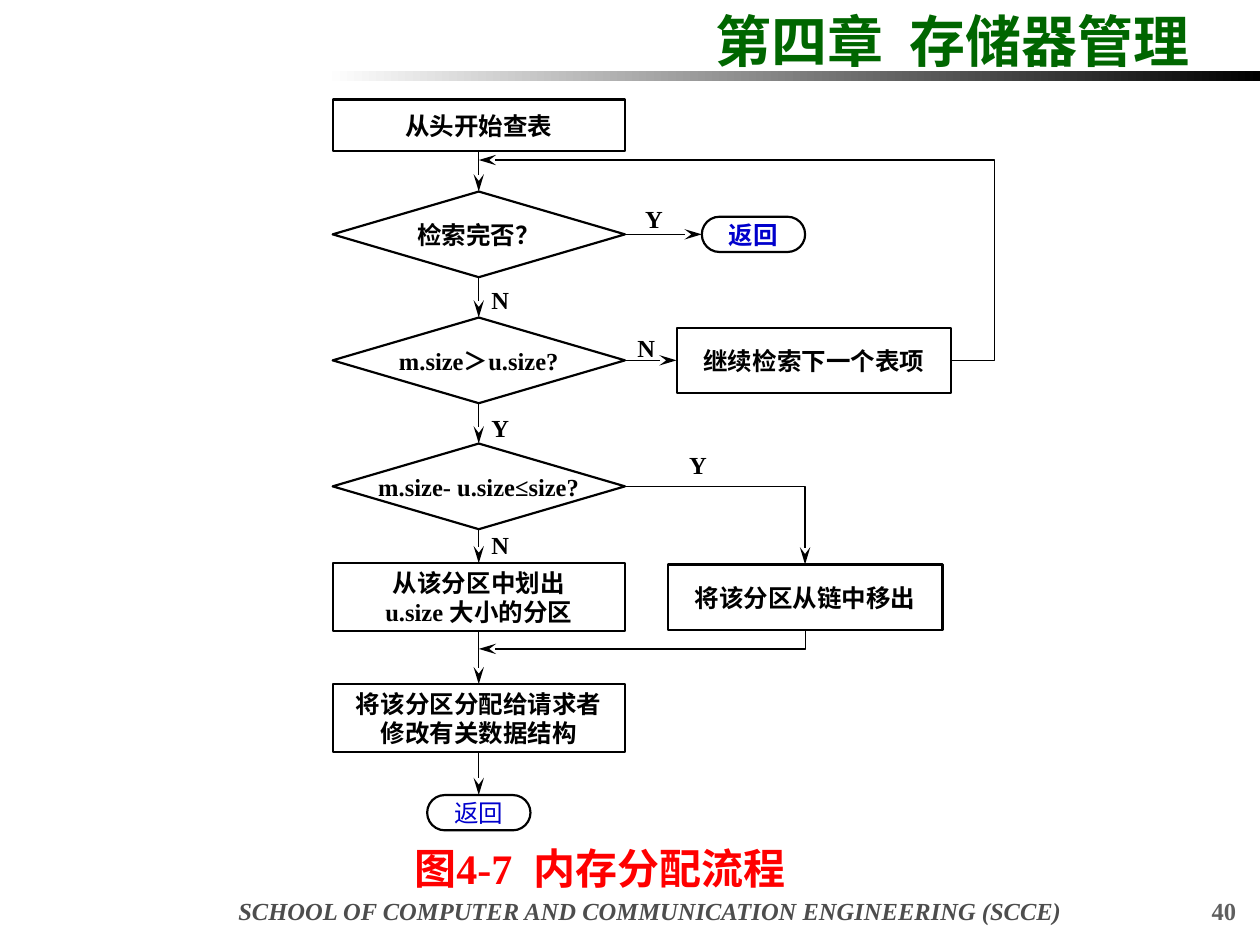
from pptx import Presentation
from pptx.dml.color import RGBColor
from pptx.enum.shapes import MSO_CONNECTOR, MSO_SHAPE
from pptx.enum.text import MSO_ANCHOR, MSO_AUTO_SIZE, PP_ALIGN
from pptx.oxml.ns import qn
from pptx.util import Inches, Pt
from lxml.etree import SubElement

THEME = {
    "font": "Times New Roman",
    "ink": "000000", "paper": "FFFFFF", "head": "006600", "end": "0000CC",
    "cap": "FF0000", "foot": "4D4D4D", "num": "5F5F5F",
    "title": 32, "caption": 24, "body": 14,
    "edge": 1.25, "wire": 0.75, "pitch": 16.5,
}

# Content: name, kind, centre x, top, width, height, lines, colour, bold
MID = 3.8
RECT, ASK, STOP = MSO_SHAPE.RECTANGLE, MSO_SHAPE.DIAMOND, MSO_SHAPE.ROUNDED_RECTANGLE
NODES = [
    ("start", RECT, MID, 0.79, 2.32, 0.41, ["从头开始查表"], "ink", True),
    ("done", ASK, MID, 1.52, 2.32, 0.68, ["检索完否？"], "ink", True),
    ("fits", ASK, MID, 2.52, 2.32, 0.68, ["m.size＞u.size?"], "ink", True),
    ("rest", ASK, MID, 3.52, 2.32, 0.68, ["m.size- u.size≤size?"], "ink", True),
    ("split", RECT, MID, 4.47, 2.32, 0.54, ["从该分区中划出", "u.size 大小的分区"], "ink", True),
    ("give", RECT, MID, 5.43, 2.32, 0.54, ["将该分区分配给请求者", "修改有关数据结构"], "ink", True),
    ("exit", STOP, MID, 6.31, 0.82, 0.28, ["返回"], "end", False),
    ("fail", STOP, 5.98, 1.72, 0.82, 0.28, ["返回"], "end", True),
    ("next", RECT, 6.46, 2.6, 2.18, 0.52, ["继续检索下一个表项"], "ink", True),
    ("take", RECT, 6.39, 4.48, 2.18, 0.52, ["将该分区从链中移出"], "ink", True),
]
SPINE = ["start", "done", "fits", "rest", "split", "give", "exit"]
LINKS = [(a, 2, b, 0) for a, b in zip(SPINE, SPINE[1:])]
LINKS += [("done", 3, "fail", 1), ("fits", 3, "next", 1)]
BENDS = [
    [(7.55, 2.86), (7.89, 2.86), (7.89, 1.27), (MID, 1.27)],
    [(4.96, 3.86), (6.39, 3.86), (6.39, 4.48)],
    [(6.39, 5.0), (6.39, 5.15), (MID, 5.15)],
]
TAGS = [("Y", 5.12, 1.62), ("N", 3.9, 2.26), ("N", 5.06, 2.64),
        ("Y", 3.9, 3.28), ("Y", 5.47, 3.57), ("N", 3.9, 4.21)]

# Notes: text, box, alignment, wrap, format
NOTES = [
    ("SCHOOL OF COMPUTER AND COMMUNICATION ENGINEERING (SCCE)", (1.54, 7.06, 7.24, 0.28),
     PP_ALIGN.CENTER, True, {"tone": "foot", "italic": True}),
    ("40", (7.83, 7.06, 2.08, 0.28), PP_ALIGN.RIGHT, True, {"tone": "num"}),
    ("图4-7  内存分配流程", (3.19, 6.64, 3.38, 0.5),
     PP_ALIGN.LEFT, False, {"tone": "cap", "size": "caption"}),
]


def rgb(name):
    return RGBColor.from_string(THEME[name])


def write(shape, lines, tone="ink", size="body", bold=True, italic=False,
          align=PP_ALIGN.CENTER, anchor=MSO_ANCHOR.TOP, wrap=False, pad=(0, 0)):
    frame = shape.text_frame
    form = {"word_wrap": wrap, "auto_size": MSO_AUTO_SIZE.NONE, "vertical_anchor": anchor,
            "margin_left": Inches(pad[0]), "margin_right": Inches(pad[0]),
            "margin_top": Inches(pad[1]), "margin_bottom": Inches(pad[1])}
    for key, value in form.items():
        setattr(frame, key, value)
    frame.text = "\n".join(lines)
    face = {"name": THEME["font"], "size": Pt(THEME[size]), "bold": bold, "italic": italic}
    for para in frame.paragraphs:
        para.alignment = align
        if len(lines) > 1:
            para.line_spacing = Pt(THEME["pitch"])
        font = para.runs[0].font
        for key, value in face.items():
            setattr(font, key, value)
        font.color.rgb = rgb(tone)


def stroke(shape, width, tip=False):
    shape.line.color.rgb = rgb("ink")
    shape.line.width = Pt(THEME[width])
    if tip:
        SubElement(shape.line._get_or_add_ln(), qn("a:tailEnd"), type="stealth", w="med", len="lg")


def main():
    deck = Presentation()
    deck.slide_width, deck.slide_height = Inches(10), Inches(7.5)
    slide = deck.slides.add_slide(deck.slide_layouts[5])
    shapes = slide.shapes

    # Chapter heading and its fading rule
    title = shapes.title
    place = {"left": 5.58, "top": 0, "width": 4.42, "height": 0.64}
    for key, value in place.items():
        setattr(title, key, Inches(value))
    write(title, ["第四章  存储器管理"], "head", "title", align=PP_ALIGN.LEFT,
          wrap=True, pad=(0.1, 0.05))
    bar = shapes.add_shape(RECT, *map(Inches, (2.58, 0.56, 7.42, 0.08)))
    bar.shadow.inherit = False
    bar.line.fill.background()
    bar.fill.gradient()
    bar.fill.gradient_angle = 0
    for stop, tone in zip(bar.fill.gradient_stops, ("paper", "ink")):
        stop.color.rgb = rgb(tone)

    # Footer, page number and caption
    for text, box, align, wrap, form in NOTES:
        note = shapes.add_textbox(*map(Inches, box))
        write(note, [text], align=align, wrap=wrap, pad=(0.1, 0.05), **form)

    # Flow steps
    steps = {}
    for name, kind, mid, top, wide, high, lines, tone, bold in NODES:
        node = shapes.add_shape(kind, *map(Inches, (mid - wide / 2, top, wide, high)))
        node.shadow.inherit = False
        node.fill.solid()
        node.fill.fore_color.rgb = rgb("paper")
        stroke(node, "edge")
        if kind == STOP:
            node.adjustments[0] = 0.5
        write(node, lines, tone, bold=bold, anchor=MSO_ANCHOR.MIDDLE)
        steps[name] = node

    # Straight arrows
    for src, out, dest, side in LINKS:
        wire = shapes.add_connector(MSO_CONNECTOR.STRAIGHT, 0, 0, 0, 0)
        wire.begin_connect(steps[src], out)
        wire.end_connect(steps[dest], side)
        stroke(wire, "wire", tip=True)
        SubElement(wire._element.spPr, qn("a:effectLst"))

    # Bent arrows
    for route in BENDS:
        first, *others = [tuple(map(Inches, point)) for point in route]
        pen = shapes.build_freeform(*first)
        pen.add_line_segments(others, close=False)
        bend = pen.convert_to_shape()
        bend.shadow.inherit = False
        bend.fill.background()
        stroke(bend, "wire", tip=True)

    # Branch labels
    for text, left, top in TAGS:
        tag = shapes.add_textbox(*map(Inches, (left, top, 0.14, 0.23)))
        write(tag, [text], align=PP_ALIGN.LEFT)

    deck.save("out.pptx")


if __name__ == "__main__":
    main()
